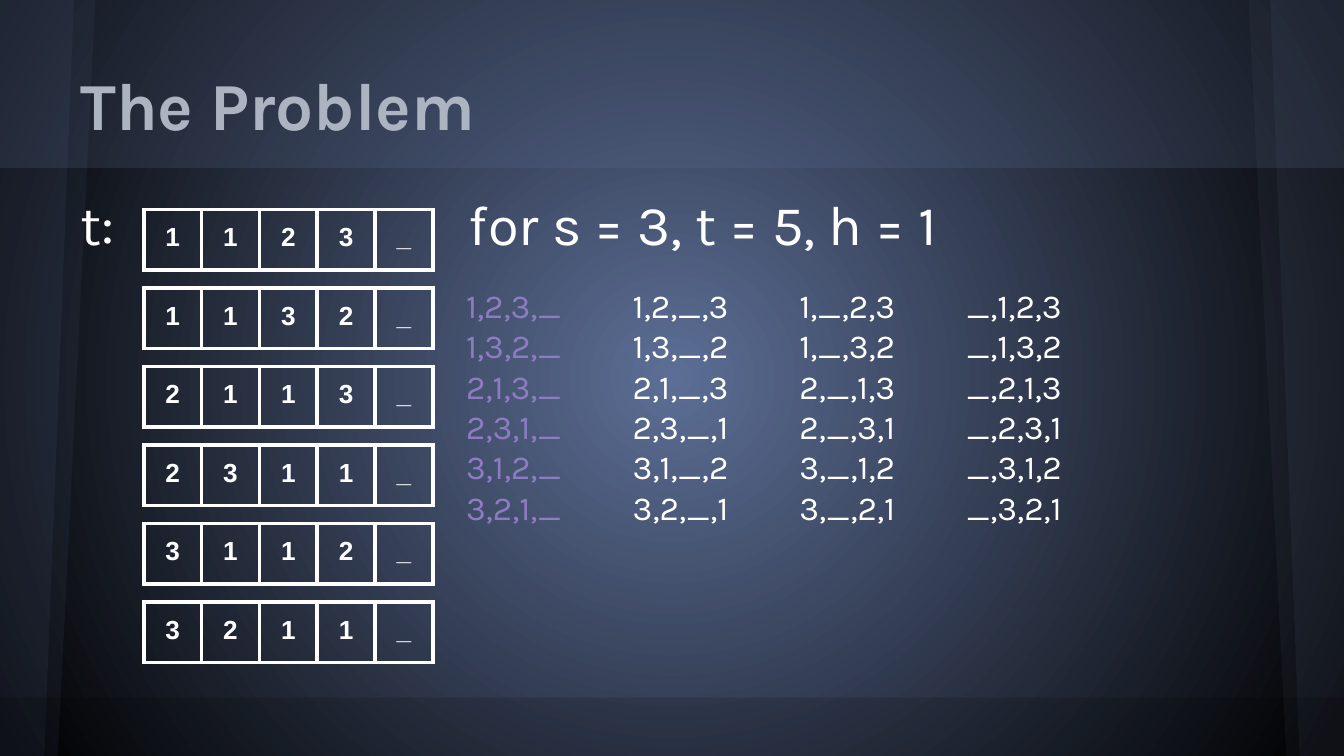
from itertools import permutations

from lxml.etree import SubElement
from pptx import Presentation
from pptx.dml.color import RGBColor
from pptx.enum.shapes import MSO_SHAPE as Shape
from pptx.enum.text import MSO_ANCHOR as Anchor, PP_ALIGN as Align
from pptx.oxml.ns import qn
from pptx.util import Inches, Pt

WIDE = 10
HIGH = WIDE * 9 / 16
COLORS = {
    "blue": "5C6E95",
    "slate": "5A6378",
    "black": "000000",
    "white": "FFFFFF",
    "title": "ACB4C2",
    "purple": "8E7CC3",
}
ROWS = ["1123_", "1132_", "2113_", "2311_", "3112_", "3211_"]
FIRST, LAST = 1.56, 4.48  # tops of the first and last sequence
STEP = (LAST - FIRST) / (len(ROWS) - 1)


def rgb(name):
    return RGBColor.from_string(COLORS[name])


def write(frame, text, size=18, font="Karla", color="white", bold=False,
          align=Align.LEFT, anchor=Anchor.TOP):
    """Fill a text frame, one paragraph for each line."""
    frame.word_wrap = True
    frame.vertical_anchor = anchor
    frame.text = text
    for para in frame.paragraphs:
        para.alignment = align
        for run in para.runs:
            run.font.size = Pt(size)
            run.font.name = font
            run.font.bold = bold
            run.font.color.rgb = rgb(color)


def pad(item):
    """Set the same inner margin on all sides of a frame or cell."""
    item.margin_left = item.margin_right = Inches(0.1)
    item.margin_top = item.margin_bottom = Inches(0.1)


def add_text(slide, text, x, y, w, h, **style):
    frame = slide.shapes.add_textbox(*map(Inches, (x, y, w, h))).text_frame
    pad(frame)
    write(frame, text, **style)


def tint(shape, color, alpha):
    """Give a shape a see-through fill with no line or shadow."""
    shape.shadow.inherit = False
    shape.line.fill.background()
    shape.fill.solid()
    shape.fill.fore_color.rgb = rgb(color)
    tone = shape.element.spPr.find(qn("a:solidFill"))[0]
    SubElement(tone, qn("a:alpha"), val=str(alpha * 1000))


def add_band(slide, y, h, color, alpha):
    box = map(Inches, (0, y, WIDE, h))
    tint(slide.shapes.add_shape(Shape.RECTANGLE, *box), color, alpha)


def add_side(slide, edge, top, foot, color):
    """Draw a slanted strip from a slide edge to its inner x values."""
    spots = [(top, 0), (foot, HIGH), (edge, HIGH)]
    form = slide.shapes.build_freeform(Inches(edge), 0)
    form.add_line_segments([(Inches(x), Inches(y)) for x, y in spots])
    tint(form.convert_to_shape(), color, 10)


def set_back(slide):
    """Set a round gradient that is bright in the middle."""
    fill = slide.background.fill
    fill.gradient()
    for stop, color in zip(fill.gradient_stops, ("blue", "black")):
        stop.color.rgb = rgb(color)
    grad = slide.element.find(".//" + qn("a:gradFill"))
    grad.remove(grad.find(qn("a:lin")))
    ring = SubElement(grad, qn("a:path"), path="circle")
    SubElement(ring, qn("a:fillToRect"), l="50000", t="50000", r="50000", b="50000")


def add_border(cell):
    props = cell._tc.get_or_add_tcPr()
    for side in ("lnL", "lnR", "lnT", "lnB"):
        line = SubElement(props, qn("a:" + side), w=str(Pt(2.25)))
        fill = SubElement(line, qn("a:solidFill"))
        SubElement(fill, qn("a:srgbClr"), val=COLORS["white"])


def add_row(slide, marks, x, y):
    """Draw one sequence as a table of a single row."""
    box = map(Inches, (x, y, 0.43 * len(marks), 0.45))
    table = slide.shapes.add_table(1, len(marks), *box).table
    table.first_row = table.horz_banding = False
    for cell, mark in zip(table.iter_cells(), marks):
        pad(cell)
        add_border(cell)
        cell.fill.background()
        write(cell.text_frame, mark, size=14, font="Arial", bold=True,
              align=Align.CENTER)


def add_orders(slide, x, y, gap, color):
    """List every order of 1, 2, 3 with the blank at one place."""
    lines = []
    for order in permutations("123"):
        marks = list(order)
        marks.insert(gap, "_")
        lines.append(",".join(marks))
    add_text(slide, "\n".join(lines), x, y, 1.5, 2.66, color=color)


def main():
    deck = Presentation()
    deck.slide_width, deck.slide_height = Inches(WIDE), Inches(HIGH)
    slide = deck.slides.add_slide(deck.slide_layouts[6])

    # Backdrop
    set_back(slide)
    add_band(slide, 0, 1.25, "blue", 20)
    add_side(slide, 0, 0.71, 0.43, "blue")
    add_side(slide, 0, 0.55, 0.33, "blue")
    add_side(slide, WIDE, 9.29, 9.57, "slate")
    add_side(slide, WIDE, 9.45, 9.67, "blue")
    add_band(slide, 5.19, HIGH - 5.19, "black", 15)

    # Headings
    add_text(slide, "The Problem", 0.5, 0.23, 9, 0.94, size=36, color="title",
             bold=True, anchor=Anchor.BOTTOM)
    add_text(slide, "t:", 0.5, 1.31, 0.66, 0.94, size=30)
    add_text(slide, "for s = 3, t = 5, h = 1", 3.39, 1.31, 6.11, 0.73, size=30)

    # Orders, with the blank moving from last to first
    for col in range(4):
        add_orders(slide, 3.37 + 1.24 * col, 2.02, 3 - col,
                   "white" if col else "purple")

    # Sequences
    for num, marks in enumerate(ROWS):
        add_row(slide, marks, 1.07, FIRST + STEP * num)

    deck.save("out.pptx")


if __name__ == "__main__":
    main()
